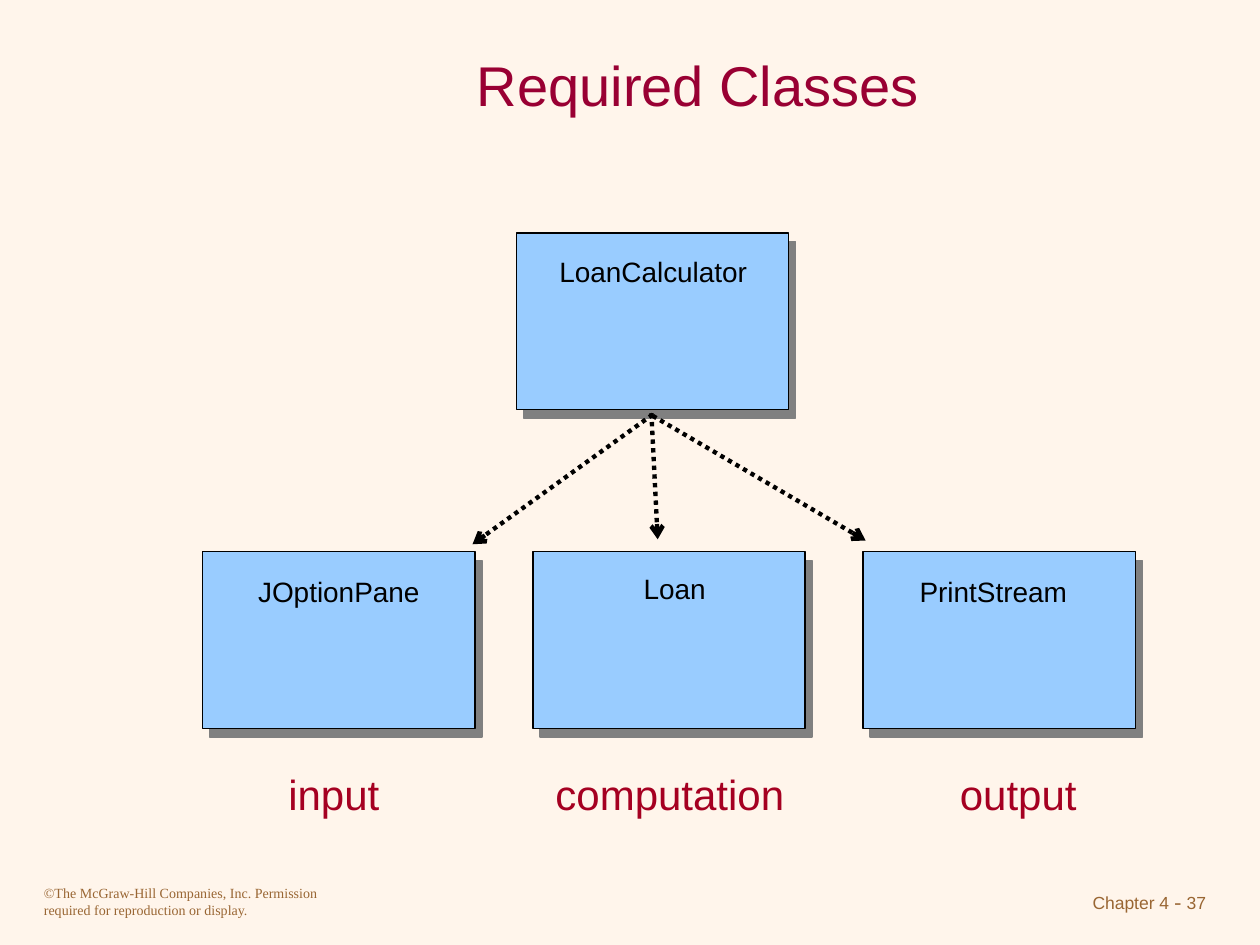
from lxml import etree
from pptx import Presentation
from pptx.dml.color import RGBColor
from pptx.enum.dml import MSO_LINE
from pptx.enum.shapes import MSO_CONNECTOR, MSO_SHAPE
from pptx.enum.text import MSO_ANCHOR, MSO_AUTO_SIZE, PP_ALIGN
from pptx.oxml.ns import qn
from pptx.util import Inches, Pt

BOX = MSO_SHAPE.ROUNDED_RECTANGLE
LINE = MSO_CONNECTOR.STRAIGHT
DOTS = MSO_LINE.ROUND_DOT
MIDDLE = MSO_ANCHOR.MIDDLE
FIXED = MSO_AUTO_SIZE.NONE
CENTER, RIGHT = PP_ALIGN.CENTER, PP_ALIGN.RIGHT

COLORS = {
    "paper": "FFF5EB",
    "title": "990033",
    "role": "A50021",
    "box": "99CCFF",
    "ink": "000000",
    "shade": "808080",
    "foot": "996633",
}


def color(name):
    return RGBColor.from_string(COLORS[name])


def add_text(shapes, text, x, y, w, h, size, tone, face="Arial"):
    box = shapes.add_textbox(Inches(x), Inches(y), Inches(w), Inches(h))
    frame = box.text_frame
    frame.word_wrap = True
    frame.auto_size = FIXED
    par = frame.paragraphs[0]
    par.text = text
    par.font.size = Pt(size)
    par.font.name = face
    par.font.color.rgb = color(tone)
    return par


prs = Presentation()
prs.slide_width, prs.slide_height = Inches(10), Inches(7.5)
slide = prs.slides.add_slide(prs.slide_layouts[5])
shapes = slide.shapes
slide.background.fill.solid()
slide.background.fill.fore_color.rgb = color("paper")

# Footer
add_text(shapes, "©The McGraw-Hill Companies, Inc. Permission required for "
         "reproduction or display.", 0.25, 6.97, 2.5, 0.38, 8, "foot",
         "Times New Roman")
page = add_text(shapes, "Chapter 4", 7.5, 7, 2.17, 0.34, 10, "foot")
page.alignment = RIGHT
dash = page.add_run()
dash.text = " - "
dash.font.size = Pt(12)
dash.font.name = "Times New Roman"
page.add_run().text = "37"

# Title
title = shapes.title
title.left, title.top = Inches(1.5), Inches(0.25)
title.width, title.height = Inches(8.08), Inches(0.83)
title.text_frame.auto_size = FIXED
title.text_frame.vertical_anchor = MIDDLE
head = title.text_frame.paragraphs[0]
head.text = "Required Classes"
head.alignment = CENTER
head.font.size = Pt(32)
head.font.name = "Arial"
head.font.color.rgb = color("title")

# Class boxes: name, box left and top, label left, top and width
classes = [
    ("LoanCalculator", 4.1, 1.85, 4.34, 1.97, 1.75),
    ("Loan", 4.23, 4.38, 5.01, 4.49, 0.75),
    ("JOptionPane", 1.61, 4.38, 1.95, 4.51, 1.55),
    ("PrintStream", 6.85, 4.38, 7.2, 4.51, 1.45),
]
for name, x, y, tx, ty, tw in classes:
    group = shapes.add_group_shape()
    box = group.shapes.add_shape(BOX, Inches(x), Inches(y), Inches(2.16), Inches(1.4))
    box.adjustments[0] = 0
    box.fill.solid()
    box.fill.fore_color.rgb = color("box")
    box.line.color.rgb = color("ink")
    box.line.width = Pt(0.75)
    # Hard drop shadow
    box.shadow.inherit = False
    effects = box._element.spPr.find(qn("a:effectLst"))
    shadow = etree.SubElement(effects, qn("a:outerShdw"), blurRad="0",
                              dist=str(Pt(6.4)), dir=str(51 * 60000),
                              algn="ctr", rotWithShape="0")
    etree.SubElement(shadow, qn("a:srgbClr"), val=COLORS["shade"])
    add_text(group.shapes, name, tx, ty, tw, 0.37, 16, "ink")

# Dotted arrows from the calculator to the classes it uses
arrows = [
    (5.17, 3.28, 5.22, 4.28),
    (5.18, 3.3, 6.87, 4.29),
    (5.18, 3.29, 3.75, 4.32),
]
for ends in arrows:
    arrow = shapes.add_connector(LINE, *map(Inches, ends))
    arrow.line.color.rgb = color("ink")
    arrow.line.width = Pt(2.5)
    arrow.line.dash_style = DOTS
    etree.SubElement(arrow.line._get_or_add_ln(), qn("a:tailEnd"), type="arrow")
    etree.SubElement(arrow._element.spPr, qn("a:effectLst"))

# Role of each class
for role, x, w in [("input", 2.19, 1), ("computation", 4.31, 2.1),
                   ("output", 7.52, 1.2)]:
    add_text(shapes, role, x, 6.05, w, 0.5, 24, "role")

prs.save("out.pptx")
